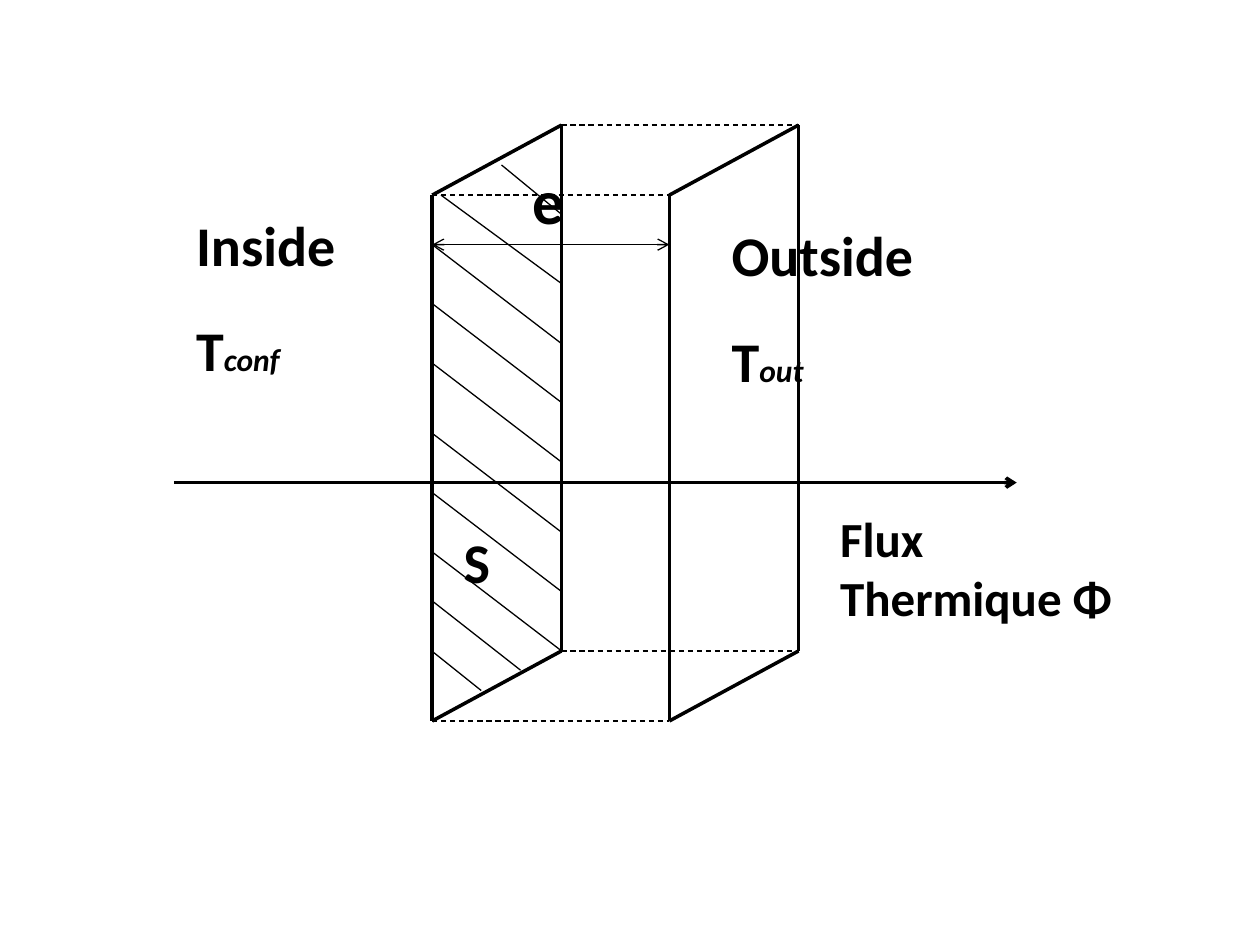
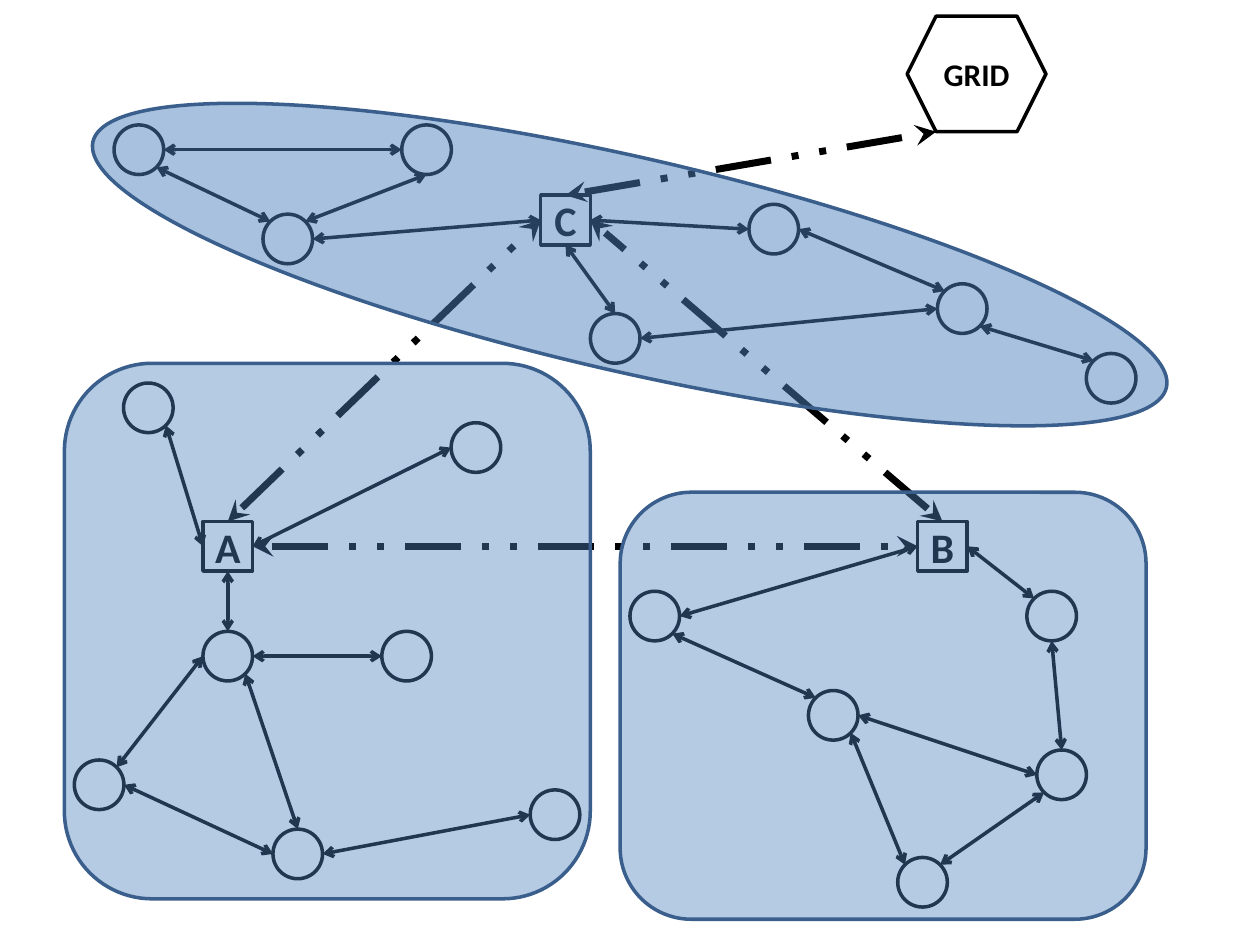
import math
from dataclasses import dataclass
from typing import Any, NamedTuple, Optional

import lxml.etree
import pptx
import pptx.dml.color
import pptx.enum.dml
import pptx.enum.shapes
import pptx.enum.text
import pptx.oxml.ns
import pptx.util

Pt = pptx.util.Pt
Preset = pptx.enum.shapes.MSO_SHAPE
Dash = pptx.enum.dml.MSO_LINE
Align = pptx.enum.text.PP_ALIGN


@dataclass(frozen=True)
class Theme:
    font: str = "Calibri"
    ink: str = "000000"
    zone_fill: str = "4F81BD"
    zone_line: str = "3A5F8C"
    thin: float = 0.75
    medium: float = 2
    thick: float = 4
    small: float = 18
    station: float = 24
    caption: float = 28
    large: float = 32
    huge: float = 36


THEME = Theme()


class Point(NamedTuple):
    x: float
    y: float


class Box(NamedTuple):
    left: float
    top: float
    width: float
    height: float


class LineStyle(NamedTuple):
    width: float
    dash: Optional[Any] = None
    head: str = "none"
    tail: str = "none"


class Span(NamedTuple):
    text: str
    size: float
    italic: bool = False


class Label(NamedTuple):
    box: Box
    paragraphs: list[list[Span]]


class Zone(NamedTuple):
    preset: Any
    box: Box
    opacity: int
    rotation: float = 0


class Link(NamedTuple):
    start: str
    start_site: str
    end: str
    end_site: str


EDGE = LineStyle(THEME.medium)
THIN = LineStyle(THEME.thin)
HIDDEN = LineStyle(THEME.thin, Dash.DASH)
DIMENSION = LineStyle(THEME.thin, None, "arrow", "arrow")
FLUX = LineStyle(THEME.medium, None, "none", "arrow")
LOCAL = LineStyle(THEME.medium, None, "arrow", "arrow")
TRUNK = LineStyle(THEME.thick, Dash.DASH_DOT_DOT, "stealth", "stealth")

FRONT, BACK, THICKNESS = 247, 320.8, 135.5
TOP, BOTTOM, RISE = 111.5, 412, 40
HATCH_DROP = 56.5
FULL_HATCHES = [139.8, 173.5, 207.5, 247.6, 281.5, 315.4]
CUT_HATCHES = [
    (Point(FRONT, 372.2), Point(275, 394.6)),
    (Point(FRONT, 343.4), Point(297.5, 383)),
    (Point(252, TOP), Point(BACK, 162)),
    (Point(286.6, 94.3), Point(BACK, 122.4)),
]
WALL_LABELS = [
    Label(Box(297.5, 88.6, 62.6, 51), [[Span("e", THEME.huge)]]),
    Label(Box(105, 116.6, 119, 106.5),
          [[Span("Inside", THEME.large)],
           [Span("T", THEME.large), Span("conf", THEME.small, True)]]),
    Label(Box(411, 122.4, 136, 106.5),
          [[Span("Outside", THEME.large)],
           [Span("T", THEME.large), Span("out", THEME.small, True)]]),
    Label(Box(257.8, 298, 45.4, 46), [[Span("S", THEME.large)]]),
    Label(Box(473, 287.3, 193, 75), [[Span("Flux Thermique Φ", THEME.caption)]]),
]
PARAGRAPH_GAP = 22

NODE_SIZE = 28.35
STATIONS = {"A": Point(116, 298), "B": Point(524.4, 298), "C": Point(309, 111.6)}
NODES = {
    "a_north": Point(70.6, 218.9), "a_east": Point(257.8, 241.6),
    "a_hub": Point(116, 360.8), "a_hub_east": Point(218.2, 360.8),
    "a_west": Point(42.5, 434.3), "a_south": Point(156, 473.8),
    "a_corner": Point(303, 451.4),
    "b_west": Point(360, 337.9), "b_east": Point(586.8, 337.9),
    "b_centre": Point(462, 394.6), "b_south": Point(513, 490),
    "b_corner": Point(592.5, 428.6),
    "c_far_west": Point(65.2, 71.4), "c_north": Point(229.6, 71.4),
    "c_west": Point(150.3, 122.4), "c_south": Point(337.4, 179.2),
    "c_middle": Point(428, 116.8), "c_east": Point(535.7, 162.2),
    "c_far_east": Point(620.8, 202),
}
LINKS = [
    Link("A", "S", "a_hub", "N"), Link("a_hub", "W", "a_west", "NE"),
    Link("a_south", "W", "a_west", "E"), Link("a_hub", "SE", "a_south", "N"),
    Link("a_corner", "W", "a_south", "E"), Link("a_hub_east", "W", "a_hub", "E"),
    Link("a_east", "W", "A", "E"), Link("a_north", "SE", "A", "W"),
    Link("c_west", "E", "C", "W"), Link("c_far_west", "SE", "c_west", "NW"),
    Link("c_far_west", "E", "c_north", "W"), Link("c_north", "S", "c_west", "NE"),
    Link("c_middle", "W", "C", "E"), Link("C", "S", "c_south", "N"),
    Link("c_east", "W", "c_south", "E"), Link("c_far_east", "NW", "c_east", "SE"),
    Link("c_middle", "E", "c_east", "NW"), Link("B", "W", "b_west", "E"),
    Link("b_centre", "NW", "b_west", "SE"), Link("b_south", "NW", "b_centre", "SE"),
    Link("b_corner", "SW", "b_south", "NE"), Link("b_east", "S", "b_corner", "N"),
    Link("b_east", "NW", "B", "E"), Link("b_corner", "W", "b_centre", "E"),
]
TRUNKS = [Link("A", "N", "C", "W"), Link("A", "E", "B", "W"), Link("B", "N", "C", "E")]
COMPASS = ["E", "SE", "S", "SW", "W", "NW", "N", "NE"]
RECTANGLE_SITES = {"N": 0, "W": 1, "S": 2, "E": 3}
GRID_BOX = Box(518.4, 9.3, 79.3, 66)
ZONES = [
    Zone(Preset.ROUNDED_RECTANGLE, Box(36.8, 207.6, 300.5, 306), 42),
    Zone(Preset.ROUNDED_RECTANGLE, Box(354.4, 281.3, 300.5, 244), 42),
    Zone(Preset.OVAL, Box(45.2, 90, 629.3, 122.4), 49, 12.9),
]


def color(code: str) -> pptx.dml.color.RGBColor:
    return pptx.dml.color.RGBColor.from_string(code)


def points(values: tuple) -> list:
    return [Pt(value) for value in values]


def add_line(slide: Any, start: Point, end: Point, style: LineStyle) -> Any:
    connector = slide.shapes.add_connector(
        pptx.enum.shapes.MSO_CONNECTOR.STRAIGHT, *points(start), *points(end))
    connector.line.width = Pt(style.width)
    connector.line.color.rgb = color(THEME.ink)
    if style.dash is not None:
        connector.line.dash_style = style.dash
    qn = pptx.oxml.ns.qn
    properties = connector.element.spPr
    outline = properties.find(qn("a:ln"))
    for tag, arrow in (("a:headEnd", style.head), ("a:tailEnd", style.tail)):
        if arrow != "none":
            lxml.etree.SubElement(outline, qn(tag), type=arrow)
    lxml.etree.SubElement(properties, qn("a:effectLst"))
    return connector


def add_span(paragraph: Any, span: Span) -> None:
    run = paragraph.add_run()
    run.text = span.text
    run.font.name = THEME.font
    run.font.size = Pt(span.size)
    run.font.bold = True
    run.font.italic = span.italic
    run.font.color.rgb = color(THEME.ink)


def add_label(slide: Any, label: Label) -> None:
    frame = slide.shapes.add_textbox(*points(label.box)).text_frame
    frame.word_wrap = True
    for index, spans in enumerate(label.paragraphs):
        paragraph = frame.add_paragraph() if index else frame.paragraphs[0]
        paragraph.space_before = Pt(PARAGRAPH_GAP if index else 0)
        for span in spans:
            add_span(paragraph, span)


def add_outline(slide: Any, preset: Any, box: Box, line: str = THEME.ink,
                span: Optional[Span] = None) -> Any:
    shape = slide.shapes.add_shape(preset, *points(box))
    shape.shadow.inherit = False
    shape.fill.background()
    shape.line.color.rgb = color(line)
    shape.line.width = Pt(THEME.medium)
    if span:
        frame = shape.text_frame
        frame.margin_left = frame.margin_right = 0
        frame.vertical_anchor = pptx.enum.text.MSO_ANCHOR.MIDDLE
        frame.paragraphs[0].alignment = Align.CENTER
        add_span(frame.paragraphs[0], span)
    return shape


def add_zone(slide: Any, zone: Zone) -> None:
    shape = add_outline(slide, zone.preset, zone.box, THEME.zone_line)
    shape.rotation = zone.rotation
    shape.fill.solid()
    shape.fill.fore_color.rgb = color(THEME.zone_fill)
    qn = pptx.oxml.ns.qn
    fill_color = shape.element.spPr.find(qn("a:solidFill")).find(qn("a:srgbClr"))
    lxml.etree.SubElement(fill_color, qn("a:alpha"), val=str(zone.opacity * 1000))


def site_point(name: str, site: str) -> Point:
    corner = STATIONS[name] if name in STATIONS else NODES[name]
    radius = NODE_SIZE / 2
    angle = COMPASS.index(site) * math.pi / 4
    return Point(corner.x + radius * (1 + math.cos(angle)),
                 corner.y + radius * (1 + math.sin(angle)))


def add_link(slide: Any, link: Link, style: LineStyle, stations: dict) -> None:
    connector = add_line(slide, site_point(link.start, link.start_site),
                         site_point(link.end, link.end_site), style)
    if link.start in stations:
        connector.begin_connect(stations[link.start], RECTANGLE_SITES[link.start_site])
    if link.end in stations:
        connector.end_connect(stations[link.end], RECTANGLE_SITES[link.end_site])


def build_wall(slide: Any) -> None:
    add_line(slide, Point(99.4, 275.8), Point(581, 275.8), FLUX)
    add_line(slide, Point(FRONT, 139.8), Point(FRONT + THICKNESS, 139.8), DIMENSION)
    for shift in (0, THICKNESS):
        front, back = FRONT + shift, BACK + shift
        corners = [Point(front, TOP), Point(back, TOP - RISE),
                   Point(back, BOTTOM - RISE), Point(front, BOTTOM)]
        for start, end in zip(corners, corners[1:] + corners[:1]):
            add_line(slide, start, end, EDGE)
    for x, rise in ((FRONT, 0), (BACK, RISE)):
        for y in (TOP - rise, BOTTOM - rise):
            add_line(slide, Point(x, y), Point(x + THICKNESS, y), HIDDEN)
    for y in FULL_HATCHES:
        add_line(slide, Point(FRONT, y), Point(BACK, y + HATCH_DROP), THIN)
    for start, end in CUT_HATCHES:
        add_line(slide, start, end, THIN)
    for label in WALL_LABELS:
        add_label(slide, label)


def build_network(slide: Any) -> None:
    stations = {
        name: add_outline(slide, Preset.RECTANGLE, Box(*corner, NODE_SIZE, NODE_SIZE),
                          span=Span(name, THEME.station))
        for name, corner in STATIONS.items()
    }
    for link in TRUNKS:
        add_link(slide, link, TRUNK, stations)
    for corner in NODES.values():
        add_outline(slide, Preset.OVAL, Box(*corner, NODE_SIZE, NODE_SIZE))
    for link in LINKS:
        add_link(slide, link, LOCAL, stations)
    add_outline(slide, Preset.HEXAGON, GRID_BOX, span=Span("GRID", THEME.small))
    grid_corner = Point(GRID_BOX.left + GRID_BOX.height / 4, GRID_BOX.top + GRID_BOX.height)
    grid_trunk = add_line(slide, site_point("C", "N"), grid_corner, TRUNK)
    grid_trunk.begin_connect(stations["C"], RECTANGLE_SITES["N"])
    for zone in ZONES:
        add_zone(slide, zone)


def main() -> None:
    presentation = pptx.Presentation()
    presentation.slide_width, presentation.slide_height = Pt(720), Pt(540)
    for build in (build_wall, build_network):
        build(presentation.slides.add_slide(presentation.slide_layouts[6]))
    presentation.save("out.pptx")


if __name__ == "__main__":
    main()
